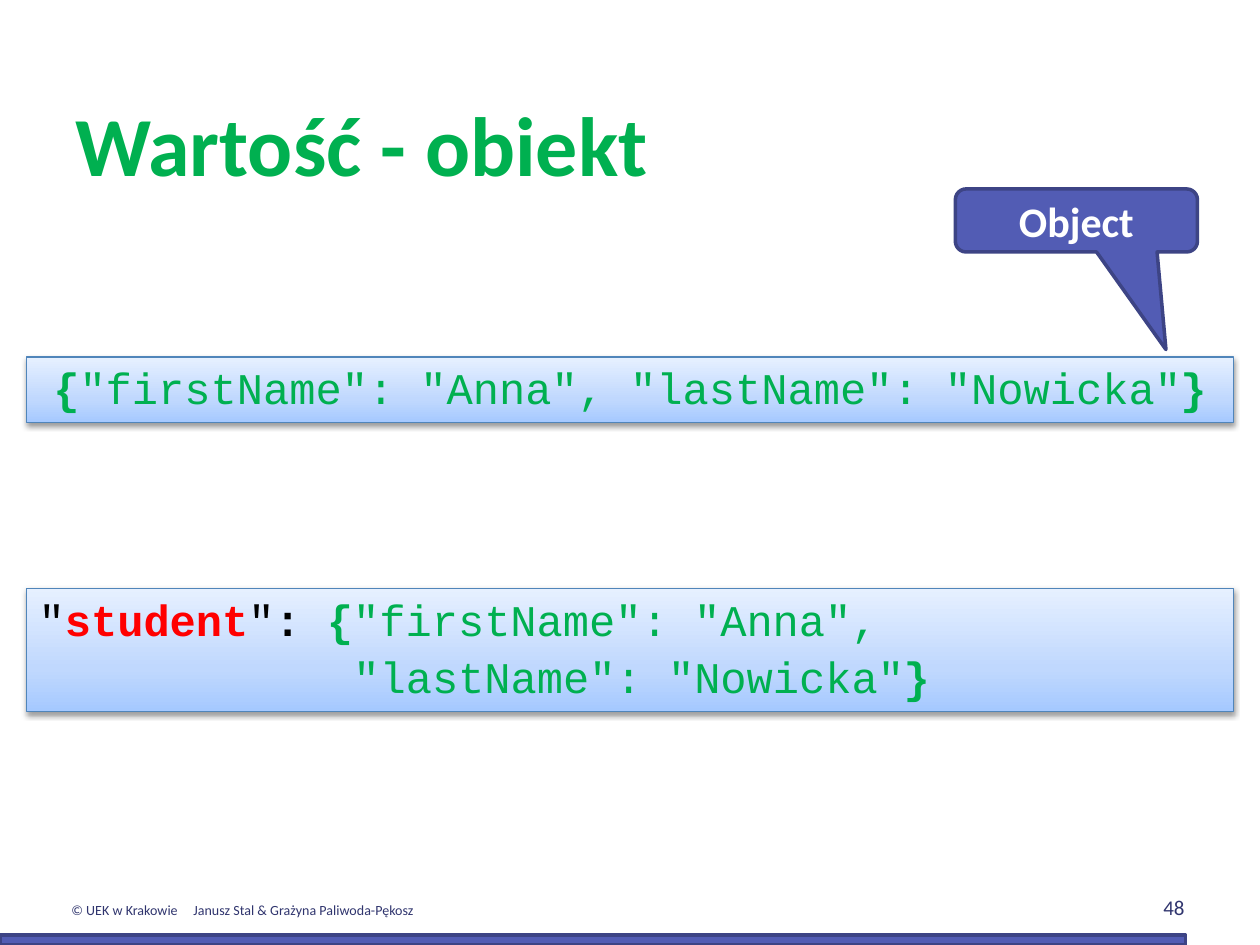
import copy
import dataclasses
import typing

import pptx
import pptx.dml.color
import pptx.enum.shapes
import pptx.enum.text
import pptx.oxml
import pptx.oxml.ns
import pptx.util

Cm = pptx.util.Cm
Pt = pptx.util.Pt
Align = pptx.enum.text.PP_ALIGN
Anchor = pptx.enum.text.MSO_ANCHOR
Shape = pptx.enum.shapes.MSO_SHAPE


@dataclasses.dataclass(frozen=True)
class Theme:
    body_font: str = "Calibri"
    code_font: str = "Courier New"
    green: str = "00B050"
    red: str = "FF0000"
    black: str = "000000"
    white: str = "FFFFFF"
    navy: str = "30356E"
    violet: str = "525CB4"
    violet_line: str = "3D4485"
    panel_line: str = "5085BA"
    panel_stops: tuple = ((0, "A5C9FF"), (0.35, "C0D8FE"), (1, "E6F0FF"))
    title_size: int = 48
    code_size: int = 25
    callout_size: int = 24
    number_size: int = 12
    footer_size: int = 8


THEME = Theme()


class Frame(typing.NamedTuple):
    left: float
    top: float
    width: float
    height: float

    def lengths(self) -> list:
        return [Cm(value) for value in self]


class Span(typing.NamedTuple):
    text: str
    color: str
    bold: bool = False


class CodePanel(typing.NamedTuple):
    frame: Frame
    lines: list
    align: Align


def rgb(color: str):
    return pptx.dml.color.RGBColor.from_string(color)


def write_text(box, lines: list, *, font: str, size: int, align=Align.LEFT,
               anchor=Anchor.TOP, top_inset: float = 0.13,
               gap: float = 0, tab_stop: float = 0) -> None:
    frame = box.text_frame
    frame.word_wrap = True
    frame.vertical_anchor = anchor
    frame.margin_left = frame.margin_right = Cm(0.25)
    frame.margin_top = Cm(top_inset)
    frame.margin_bottom = Cm(0.13)
    for index, spans in enumerate(lines):
        para = frame.paragraphs[0] if index == 0 else frame.add_paragraph()
        para.alignment = align
        if index:
            para.space_before = Pt(gap)
        if tab_stop:
            tabs = pptx.oxml.parse_xml(
                f'<a:tabLst {pptx.oxml.ns.nsdecls("a")}>'
                f'<a:tab pos="{Cm(tab_stop)}" algn="l"/></a:tabLst>')
            para._p.get_or_add_pPr().append(tabs)
        for span in spans:
            run = para.add_run()
            run.text = span.text
            run.font.name = font
            run.font.size = Pt(size)
            run.font.bold = span.bold
            run.font.color.rgb = rgb(span.color)


def add_label(slide, frame: Frame, span: Span, **text_format) -> None:
    box = slide.shapes.add_textbox(*frame.lengths())
    write_text(box, [[span]], font=THEME.body_font, **text_format)


def add_violet_shape(slide, kind: Shape, frame: Frame):
    shape = slide.shapes.add_shape(kind, *frame.lengths())
    shape.shadow.inherit = False
    shape.fill.solid()
    shape.fill.fore_color.rgb = rgb(THEME.violet)
    shape.line.color.rgb = rgb(THEME.violet_line)
    shape.line.width = Pt(2)
    return shape


def fill_with_gradient(shape, stops: tuple) -> None:
    shape.fill.gradient()
    shape.fill.gradient_angle = 90
    stop_list = shape._element.spPr.find(".//" + pptx.oxml.ns.qn("a:gsLst"))
    stop_list.append(copy.deepcopy(stop_list[-1]))
    for stop, (position, color) in zip(shape.fill.gradient_stops, stops):
        stop.position = position
        stop.color.rgb = rgb(color)


def add_drop_shadow(shape) -> None:
    shape.shadow.inherit = False
    effects = shape._element.spPr.find(pptx.oxml.ns.qn("a:effectLst"))
    effects.append(pptx.oxml.parse_xml(
        f'<a:outerShdw {pptx.oxml.ns.nsdecls("a")} blurRad="{Pt(3.1)}" '
        f'dist="{Pt(1.6)}" dir="5400000" rotWithShape="0">'
        f'<a:srgbClr val="{THEME.black}"><a:alpha val="38000"/></a:srgbClr>'
        '</a:outerShdw>'))


def add_code_panel(slide, panel: CodePanel) -> None:
    shape = slide.shapes.add_shape(Shape.RECTANGLE, *panel.frame.lengths())
    fill_with_gradient(shape, THEME.panel_stops)
    shape.line.color.rgb = rgb(THEME.panel_line)
    shape.line.width = Pt(0.75)
    add_drop_shadow(shape)
    write_text(shape, panel.lines, font=THEME.code_font, size=THEME.code_size,
               align=panel.align, top_inset=0.08, gap=3)


def main() -> None:
    deck = pptx.Presentation()
    deck.slide_width, deck.slide_height = Cm(25.4), Cm(19.05)
    slide = deck.slides.add_slide(deck.slide_layouts[6])

    add_label(slide, Frame(1.19, 18.04, 7.92, 0.6),
              Span("© UEK w Krakowie\tJanusz Stal & Grażyna Paliwoda-Pękosz", THEME.navy),
              size=THEME.footer_size, tab_stop=2.46)
    add_label(slide, Frame(1.27, 0.84, 22.86, 3.18),
              Span("Wartość - obiekt", THEME.green, True),
              size=THEME.title_size, anchor=Anchor.BOTTOM)
    add_label(slide, Frame(18.21, 17.35, 5.92, 1.32), Span("48", THEME.navy),
              size=THEME.number_size, align=Align.RIGHT, anchor=Anchor.BOTTOM)

    opening = Span("{", THEME.green, True)
    closing = Span("}", THEME.green, True)
    quote = Span('"', THEME.black)
    panels = [
        CodePanel(Frame(0.53, 7.2, 24.34, 1.32), [
            [opening, Span('"firstName": "Anna", "lastName": "Nowicka"', THEME.green), closing],
        ], Align.CENTER),
        CodePanel(Frame(0.53, 11.86, 24.34, 2.49), [
            [quote, Span("student", THEME.red, True), quote, Span(": ", THEME.black, True),
             opening, Span('"firstName": "Anna",', THEME.green)],
            [Span('            "lastName": "Nowicka"', THEME.green), closing],
        ], Align.LEFT),
    ]
    for panel in panels:
        add_code_panel(slide, panel)

    callout = add_violet_shape(slide, Shape.ROUNDED_RECTANGULAR_CALLOUT,
                               Frame(19.26, 3.81, 4.88, 1.27))
    for index, value in enumerate((0.37, 2.05, 0.17)):
        callout.adjustments[index] = value
    write_text(callout, [[Span("Object", THEME.white, True)]], font=THEME.body_font,
               size=THEME.callout_size, align=Align.CENTER, anchor=Anchor.MIDDLE)

    add_violet_shape(slide, Shape.RECTANGLE, Frame(0, 18.85, 23.9, 0.2))
    deck.save("out.pptx")


if __name__ == "__main__":
    main()
